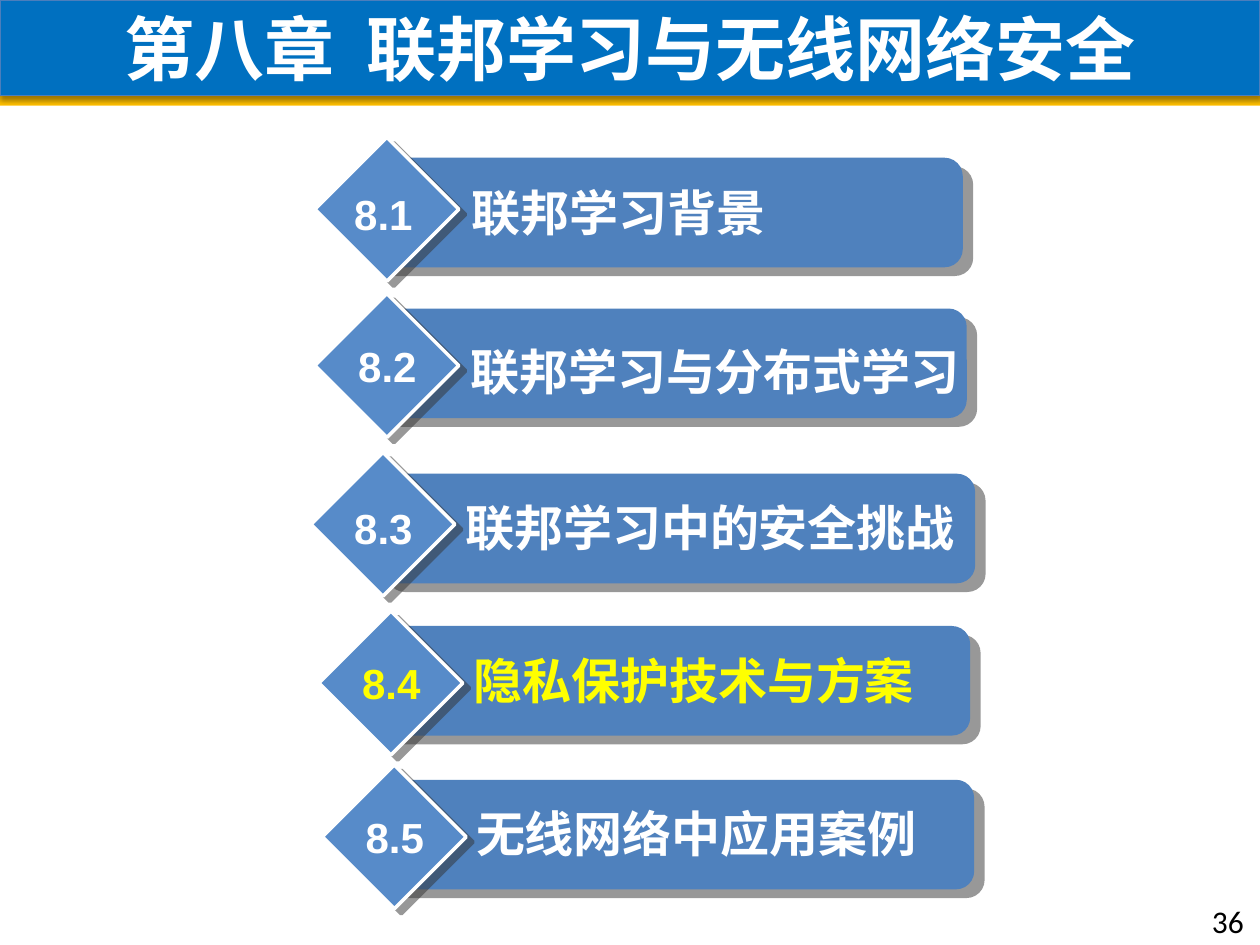
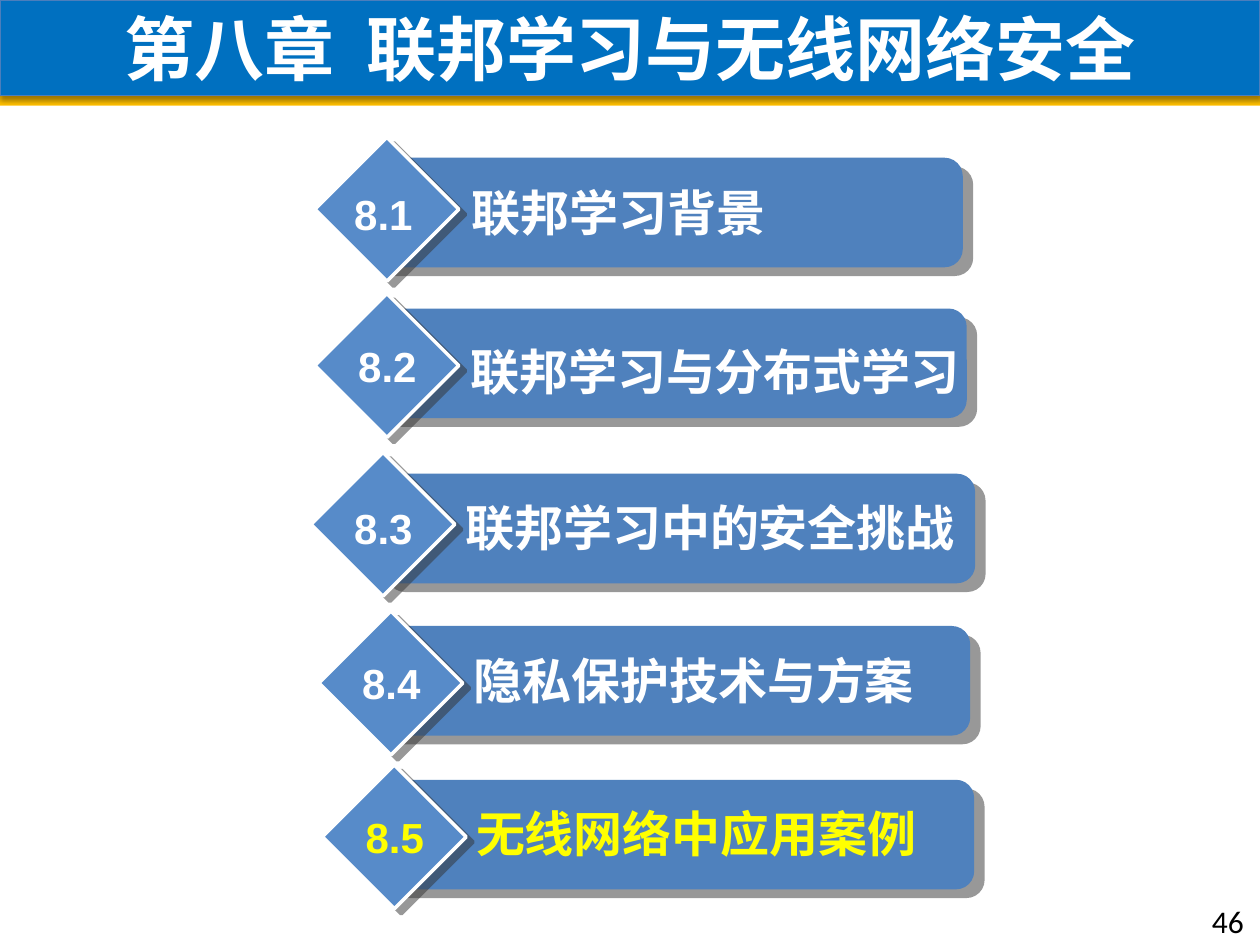
from lxml import etree
from pptx import Presentation
from pptx.dml.color import RGBColor
from pptx.enum.shapes import MSO_SHAPE
from pptx.enum.text import MSO_ANCHOR, MSO_AUTO_SIZE, PP_ALIGN
from pptx.oxml.ns import qn
from pptx.util import Cm, Pt

CHAPTER = "第八章  联邦学习与无线网络安全"
SECTIONS = [
    dict(number="8.1", label="联邦学习背景", font="Calibri", bar_at=(7.34, 3.18),
         diamond_at=(6.35, 2.77), label_at=(7.04, 3.56), number_at=(6.88, 3.68)),
    dict(number="8.2", label="联邦学习与分布式学习", font="Calibri", bar_at=(7.42, 6.22),
         diamond_at=(6.35, 5.92), label_at=(8.99, 6.76), number_at=(6.96, 6.73)),
    dict(number="8.3", label="联邦学习中的安全挑战", font="Calibri", bar_at=(7.59, 9.55),
         diamond_at=(6.27, 9.12), label_at=(8.89, 9.91), number_at=(6.88, 10.01)),
    dict(number="8.4", label="隐私保护技术与方案", font="Calibri", bar_at=(7.49, 12.62),
         diamond_at=(6.43, 12.32), label_at=(8.56, 12.98), number_at=(7.04, 13.13)),
    dict(number="8.5", label="无线网络中应用案例", font="Arial", bar_at=(7.57, 15.72),
         diamond_at=(6.5, 15.42), label_at=(8.61, 16.08), number_at=(7.11, 16.23)),
]
AGENDAS = [dict(page="36", current="8.4"), dict(page="46", current="8.5")]

BAR_SIZE = (12.07, 2.21)
DIAMOND_SIZE = (2.9, 2.9)
LABEL_SIZE = (10.85, 1.45)
NUMBER_SIZE = (1.7, 1.27)
PAGE_BOX = (24.18, 18.06, 1.19, 1.02)
SLIDE_WIDTH, SLIDE_HEIGHT = 25.4, 19.05
TITLE_HEIGHT, STRIPE_HEIGHT = 1.93, 0.2

WHITE = RGBColor(0xFF, 0xFF, 0xFF)
BLACK = RGBColor(0, 0, 0)
YELLOW = RGBColor(0xFF, 0xFF, 0)
GOLD = RGBColor(0xFF, 0xC0, 0)
TITLE_BLUE = RGBColor(0, 0x70, 0xC0)
TITLE_EDGE = RGBColor(0x4B, 0x7E, 0xBC)
BAR_BLUE = RGBColor(0x4F, 0x81, 0xBD)
DIAMOND_BLUE = RGBColor(0x57, 0x8B, 0xC9)
SHADOW_GREY = RGBColor(0x33, 0x33, 0x33)

CJK_FONT = "Noto Sans CJK SC"
RECTANGLE, ROUNDED, DIAMOND = MSO_SHAPE.RECTANGLE, MSO_SHAPE.ROUNDED_RECTANGLE, MSO_SHAPE.DIAMOND
CENTER, LEFT = PP_ALIGN.CENTER, PP_ALIGN.LEFT
MIDDLE, TOP = MSO_ANCHOR.MIDDLE, MSO_ANCHOR.TOP
GROW, FIXED = MSO_AUTO_SIZE.SHAPE_TO_FIT_TEXT, MSO_AUTO_SIZE.NONE


def lengths(*values):
    return [Cm(value) for value in values]


def write(shape, text, *, size, color, font, bold=True, align=CENTER,
          anchor=TOP, wrap=True, fit=GROW):
    frame = shape.text_frame
    frame.word_wrap = wrap
    frame.auto_size = fit
    frame.vertical_anchor = anchor
    paragraph = frame.paragraphs[0]
    paragraph.alignment = align
    run = paragraph.add_run()
    run.text = text
    run.font.size = Pt(size)
    run.font.bold = bold
    run.font.color.rgb = color
    run.font.name = font
    etree.SubElement(run.font._element, qn("a:ea"), typeface=CJK_FONT)


def paint(shape, fill, line=None, line_width=0):
    shape.shadow.inherit = False
    shape.fill.solid()
    shape.fill.fore_color.rgb = fill
    if line is None:
        shape.line.fill.background()
    else:
        shape.line.color.rgb = line
        shape.line.width = Pt(line_width)


def cast_shadow(shape, color, opacity, blur, distance, angle):
    effects = shape.element.spPr.find(qn("a:effectLst"))
    outer = etree.SubElement(effects, qn("a:outerShdw"), blurRad=str(Pt(blur)),
                             dist=str(Pt(distance)), dir=str(angle * 60000),
                             algn="ctr", rotWithShape="0")
    tint = etree.SubElement(outer, qn("a:srgbClr"), val=str(color))
    etree.SubElement(tint, qn("a:alpha"), val=str(opacity * 1000))


def add_stripe(slide):
    stripe = slide.shapes.add_shape(
        RECTANGLE, *lengths(0, TITLE_HEIGHT, SLIDE_WIDTH, STRIPE_HEIGHT))
    paint(stripe, GOLD)
    stripe.element.nvSpPr.cNvPr.set("id", "20")
    slide.slide_layout.shapes.element.append(stripe.element)


def add_title(slide):
    title = slide.shapes.title
    title.left, title.top, title.width, title.height = lengths(0, 0, SLIDE_WIDTH, TITLE_HEIGHT)
    paint(title, TITLE_BLUE, TITLE_EDGE, 0.75)
    cast_shadow(title, BLACK, 38, 3.1, 1.6, 90)
    write(title, CHAPTER, size=40, color=WHITE, font=CJK_FONT, anchor=MIDDLE, fit=FIXED)


def add_section(slide, section, color):
    shapes = slide.shapes.add_group_shape().shapes
    bar = shapes.add_shape(ROUNDED, *lengths(*section["bar_at"], *BAR_SIZE))
    paint(bar, BAR_BLUE)
    cast_shadow(bar, SHADOW_GREY, 50, 0, 7.8, 40)
    diamond = shapes.add_shape(DIAMOND, *lengths(*section["diamond_at"], *DIAMOND_SIZE))
    paint(diamond, DIAMOND_BLUE, WHITE, 2)
    cast_shadow(diamond, SHADOW_GREY, 50, 0, 5, 37)
    label = shapes.add_textbox(*lengths(*section["label_at"], *LABEL_SIZE))
    write(label, section["label"], size=28, color=color, font=section["font"])
    number = shapes.add_textbox(*lengths(*section["number_at"], *NUMBER_SIZE))
    write(number, section["number"], size=24, color=color, font="Arial", wrap=False)


def main():
    deck = Presentation()
    deck.slide_width, deck.slide_height = lengths(SLIDE_WIDTH, SLIDE_HEIGHT)
    title_only = deck.slide_layouts[5]
    for index, agenda in enumerate(AGENDAS):
        slide = deck.slides.add_slide(title_only)
        if index == 0:
            add_stripe(slide)
        add_title(slide)
        for section in SECTIONS:
            is_current = section["number"] == agenda["current"]
            add_section(slide, section, YELLOW if is_current else WHITE)
        page = slide.shapes.add_textbox(*lengths(*PAGE_BOX))
        write(page, agenda["page"], size=18, color=BLACK, font="Calibri",
              bold=False, align=LEFT, fit=FIXED)
    deck.save("out.pptx")


if __name__ == "__main__":
    main()
